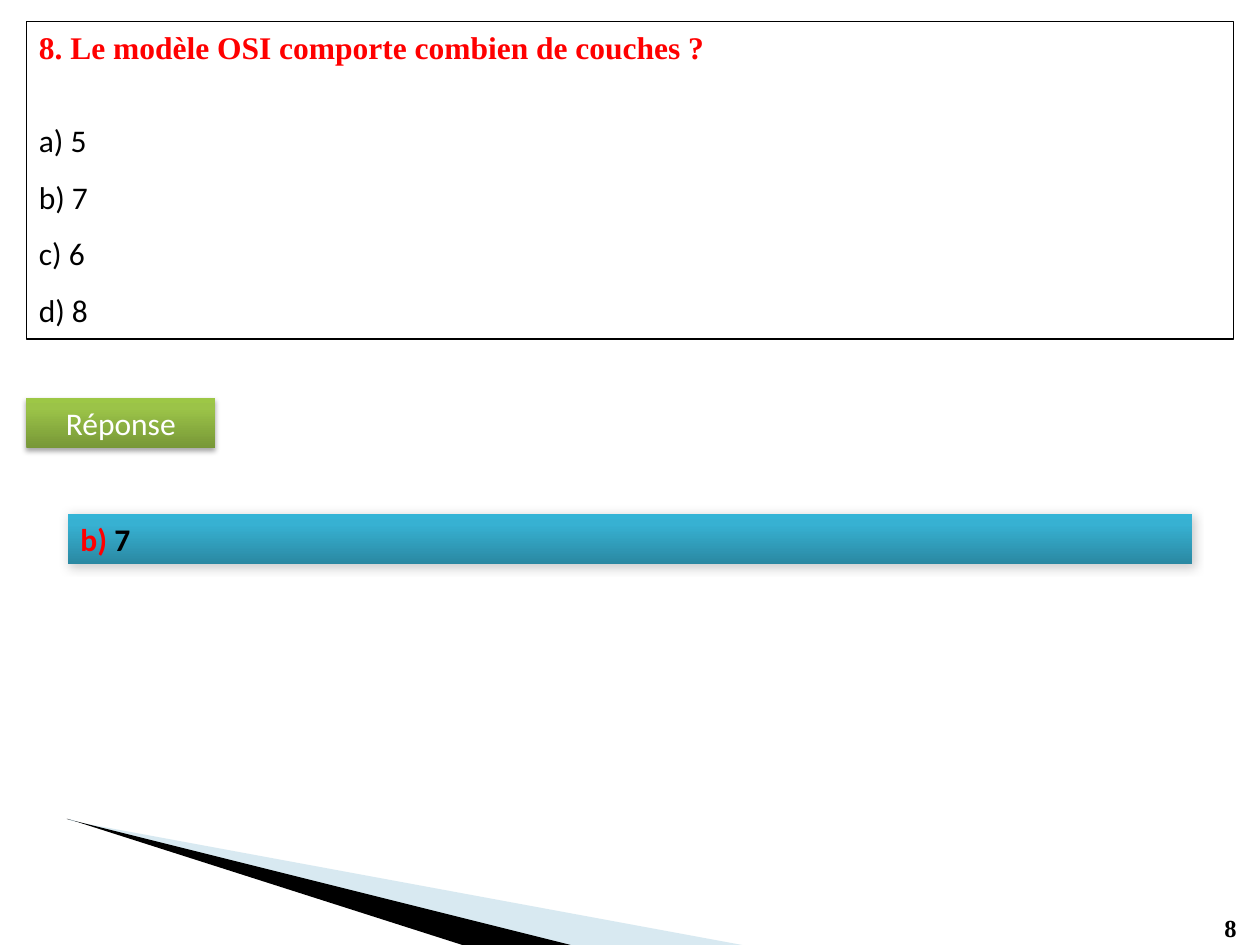
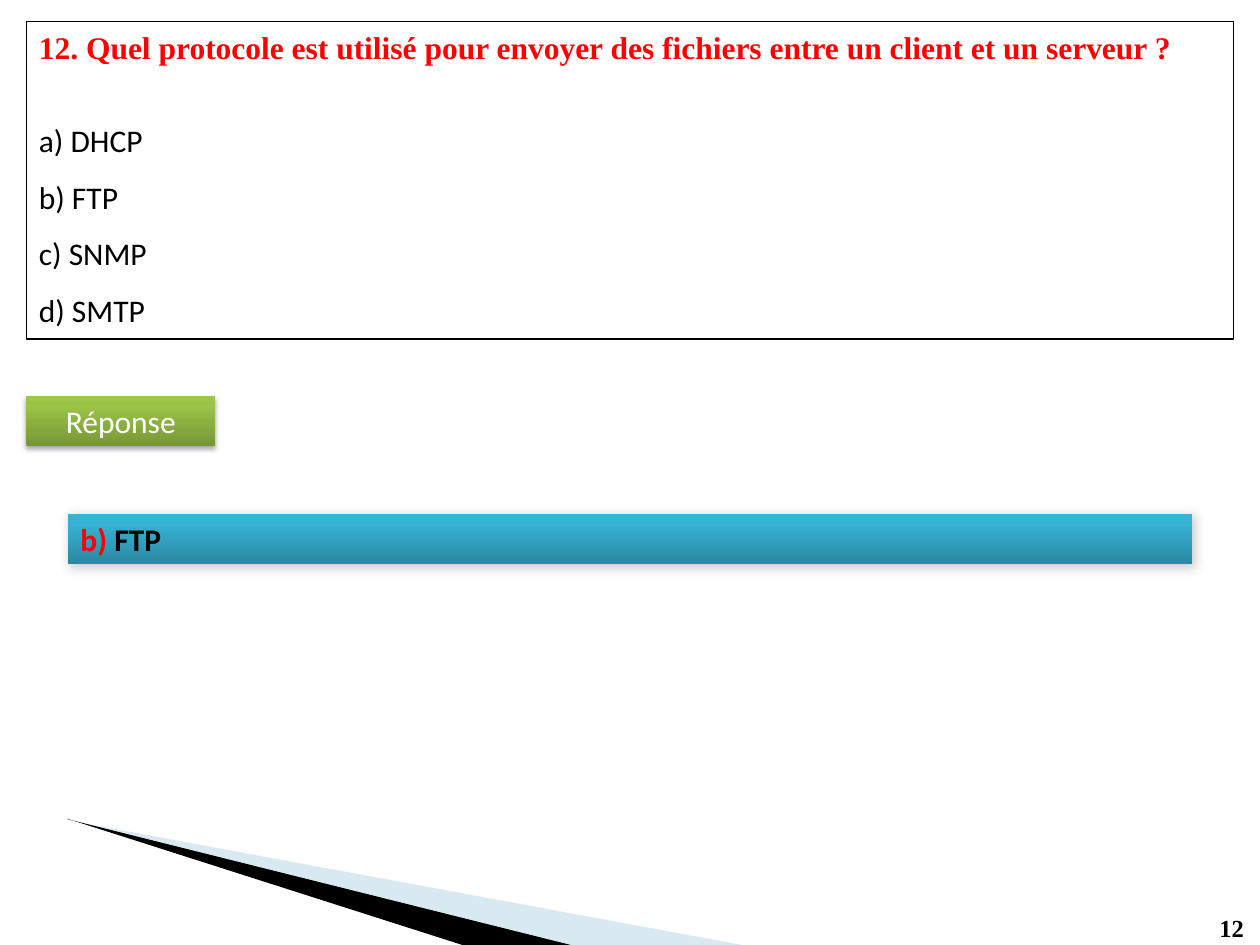
from lxml import etree
from pptx import Presentation
from pptx.dml.color import RGBColor
from pptx.enum.shapes import MSO_SHAPE
from pptx.enum.text import MSO_ANCHOR, PP_ALIGN
from pptx.oxml.ns import qn
from pptx.util import Inches, Pt

RECTANGLE = MSO_SHAPE.RECTANGLE
TOP = MSO_ANCHOR.TOP
LEFT, CENTER, JUSTIFY = PP_ALIGN.LEFT, PP_ALIGN.CENTER, PP_ALIGN.JUSTIFY

BLACK = RGBColor(0x00, 0x00, 0x00)
WHITE = RGBColor(0xFF, 0xFF, 0xFF)
RED = RGBColor(0xFF, 0x00, 0x00)
PALE_BLUE = RGBColor(0x9F, 0xCA, 0xDC)
GREENS = [(0, RGBColor(0x77, 0x97, 0x37)),
          (80, RGBColor(0x9B, 0xC3, 0x48)),
          (100, RGBColor(0x9D, 0xC7, 0x46))]
BLUES = [(0, RGBColor(0x2A, 0x88, 0xA2)),
         (80, RGBColor(0x37, 0xB1, 0xD2)),
         (100, RGBColor(0x34, 0xB4, 0xD6))]
SERIF, SANS = "Times New Roman", "Calibri"

PAGE_NUMBER_RIGHT = 9.98
QUESTION_BOX = (0.21, 0.17, 9.58, 2.52)
ANSWER_BOX = (0.54, 4.08, 8.92, 0.4)

# Contours of the corner decoration, in inches
PALE_WEDGE = [[(0.64, 6.53), (4.51, 7.5), (5.89, 7.5)],
              [(0.55, 6.5), (0.55, 6.51), (0.64, 6.53)]]
DARK_WEDGE = [[(0.53, 6.5), (0.54, 6.5), (3.67, 7.5), (4.53, 7.5)]]

QUESTIONS = [
    dict(number=8, question="Le modèle OSI comporte combien de couches ?",
         options=["5", "7", "6", "8"], correct=1, label_top=3.16),
    dict(number=12,
         question="Quel protocole est utilisé pour envoyer des fichiers "
                  "entre un client et un serveur ?",
         options=["DHCP", "FTP", "SNMP", "SMTP"], correct=1, label_top=3.14),
]


def add_text(paragraph, text, size=18, font=SANS, color=BLACK, bold=False,
             align=LEFT, spacing=None, after=None):
    run = paragraph.add_run()
    run.text = text
    run.font.size = Pt(size)
    run.font.name = font
    run.font.color.rgb = color
    run.font.bold = bold
    paragraph.alignment = align
    if spacing:
        paragraph.line_spacing = spacing
    if after:
        paragraph.space_after = Pt(after)


def add_box(slide, box):
    """Add an unfilled, unlined rectangle whose text starts at the top."""
    rectangle = slide.shapes.add_shape(RECTANGLE, *map(Inches, box))
    rectangle.shadow.inherit = False
    rectangle.fill.background()
    rectangle.line.fill.background()
    rectangle.text_frame.word_wrap = True
    rectangle.text_frame.vertical_anchor = TOP
    return rectangle


def add_color(parent, color, opacity):
    node = etree.SubElement(parent, qn("a:srgbClr"), val=str(color))
    if opacity < 100:
        etree.SubElement(node, qn("a:alpha"), val=str(opacity * 1000))


def set_gradient(shape, stops):
    shape.fill.gradient()
    shape.fill.gradient_angle = 90
    stop_list = shape._element.spPr.find(".//" + qn("a:gsLst"))
    stop_list.clear()
    for position, color in stops:
        stop = etree.SubElement(stop_list, qn("a:gs"), pos=str(position * 1000))
        add_color(stop, color, 100)


def set_shadow(shape, opacity, blur, distance, angle):
    effects = shape._element.spPr.find(qn("a:effectLst"))
    shadow = etree.SubElement(effects, qn("a:outerShdw"), blurRad=str(Pt(blur)),
                              dist=str(Pt(distance)), dir=str(angle * 60000),
                              rotWithShape="0")
    add_color(shadow, BLACK, opacity)


def add_wedge(slide, contours, color, opacity=100):
    outlines = [[(Inches(x), Inches(y)) for x, y in contour] for contour in contours]
    builder = slide.shapes.build_freeform(*outlines[0][0])
    builder.add_line_segments(outlines[0][1:], close=True)
    for outline in outlines[1:]:
        builder.move_to(*outline[0])
        builder.add_line_segments(outline[1:], close=True)
    wedge = builder.convert_to_shape()
    wedge.shadow.inherit = False
    wedge.line.fill.background()
    wedge.fill.solid()
    wedge.fill.fore_color.rgb = color
    if opacity < 100:
        fill = wedge._element.spPr.find(qn("a:solidFill"))
        fill.clear()
        add_color(fill, color, opacity)


def add_frame(slide, number):
    """Corner decoration and page number."""
    add_wedge(slide, PALE_WEDGE, PALE_BLUE, opacity=40)
    add_wedge(slide, DARK_WEDGE, BLACK)
    width = 0.36 if number < 10 else 0.4
    page_number = slide.shapes.add_textbox(
        *map(Inches, (PAGE_NUMBER_RIGHT - width, 7.2, width, 0.34)))
    page_number.text_frame.word_wrap = False
    add_text(page_number.text_frame.paragraphs[0], str(number), size=14,
             font=SERIF, bold=True)


def add_question(slide, box, title, options):
    panel = add_box(slide, box)
    panel.line.color.rgb = BLACK
    panel.line.width = Pt(0.75)
    frame = panel.text_frame
    add_text(frame.paragraphs[0], title, font=SERIF, color=RED, bold=True, after=21)
    for letter, option in zip("abcd", options):
        add_text(frame.add_paragraph(), f"{letter}) {option}", spacing=1.5)


def add_answer_label(slide, box):
    label = add_box(slide, box)
    set_gradient(label, GREENS)
    set_shadow(label, opacity=35, blur=3.1, distance=1.8, angle=90)
    add_text(label.text_frame.paragraphs[0], "Réponse", color=WHITE, align=CENTER)


def add_answer(slide, box, letter, answer):
    band = add_box(slide, box)
    set_gradient(band, BLUES)
    set_shadow(band, opacity=20, blur=6, distance=1, angle=45)
    line = band.text_frame.paragraphs[0]
    add_text(line, f"{letter}) ", color=RED, bold=True, align=JUSTIFY)
    add_text(line, answer, bold=True, align=JUSTIFY)


def add_question_slide(deck, number, question, options, correct, label_top):
    slide = deck.slides.add_slide(deck.slide_layouts[6])
    add_frame(slide, number)
    add_question(slide, QUESTION_BOX, f"{number}. {question}", options)
    add_answer_label(slide, (0.21, label_top, 1.5, 0.4))
    add_answer(slide, ANSWER_BOX, "abcd"[correct], options[correct])


def main():
    deck = Presentation()
    deck.slide_width, deck.slide_height = Inches(10), Inches(7.5)
    for entry in QUESTIONS:
        add_question_slide(deck, **entry)
    deck.save("out.pptx")


if __name__ == "__main__":
    main()
